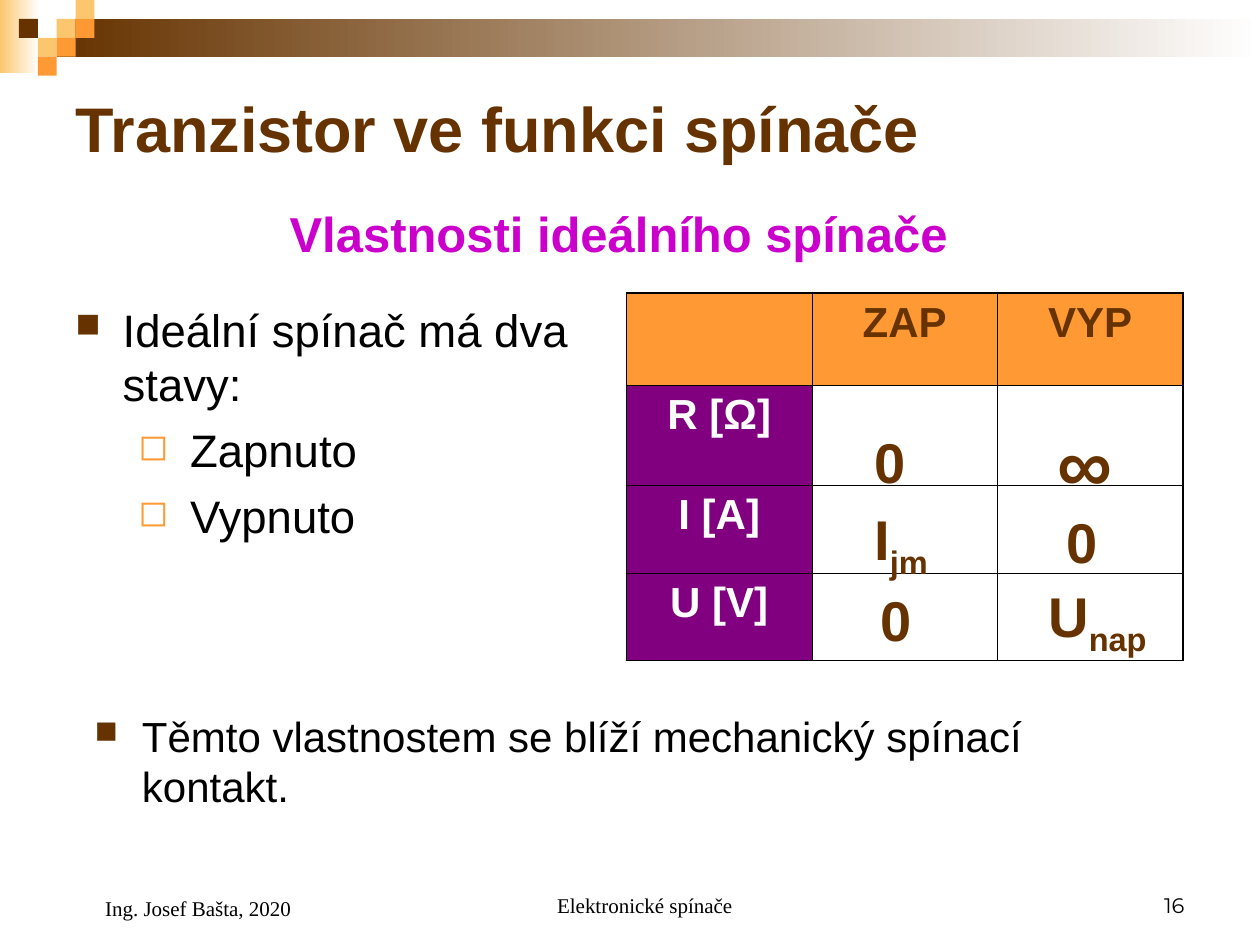
"""Build the slide about the transistor used as a switch."""
from dataclasses import dataclass
from typing import Optional

from lxml.etree import SubElement
from pptx import Presentation
from pptx.dml.color import RGBColor
from pptx.enum.shapes import MSO_SHAPE
from pptx.enum.text import MSO_ANCHOR, MSO_AUTO_SIZE, PP_ALIGN
from pptx.oxml.ns import qn
from pptx.slide import Slide
from pptx.table import _Cell
from pptx.text.text import TextFrame, _Paragraph
from pptx.util import Pt

BROWN, ORANGE, SAND = "663300", "FF9933", "FCC66E"
PURPLE, MAGENTA, BLACK, WHITE = "800080", "CC00CC", "000000", "FFFFFF"
UNIT = 10.8
SQUARES = [(3, 1, SAND), (4, 0, SAND), (4, 1, ORANGE), (2, 2, SAND),
           (1, 1, BROWN), (3, 2, ORANGE), (2, 3, ORANGE)]
BANDS = [(0, 0, 22.3, 42, SAND), (3 * UNIT, UNIT, 687.6, 2 * UNIT, BROWN)]
HEADINGS = [["", "ZAP", "VYP"], ["R [Ω]", "", ""], ["I [A]", "", ""], ["U [V]", "", ""]]
COLUMN_WIDTH = 106
ROW_HEIGHTS = [52.5, 57.5, 50, 50]
THICK, THIN = 1.08, 0.45


@dataclass
class Style:
    size: float
    color: str = BLACK
    bold: bool = False
    font: str = "Arial"
    align: PP_ALIGN = PP_ALIGN.LEFT
    margin: float = 0
    hanging: float = 0
    bullet: str = ""
    bullet_color: str = BROWN
    bullet_percent: int = 75
    space_before: Optional[float] = 0


@dataclass
class Line:
    text: str
    style: Style
    subscript: str = ""


@dataclass
class Box:
    left: float
    top: float
    width: float
    height: float
    lines: list[Line]
    anchor: MSO_ANCHOR = MSO_ANCHOR.TOP


def rgb(color: str) -> RGBColor:
    """Turn a hex string into a colour."""
    return RGBColor.from_string(color)


def add_bullet(paragraph: _Paragraph, style: Style) -> None:
    """Give a paragraph its indents and bullet."""
    properties = paragraph._p.get_or_add_pPr()
    properties.set("marL", str(Pt(style.margin)))
    properties.set("indent", str(Pt(-style.hanging)))
    if not style.bullet:
        SubElement(properties, qn("a:buNone"))
        return
    color = SubElement(properties, qn("a:buClr"))
    SubElement(color, qn("a:srgbClr"), val=style.bullet_color)
    SubElement(properties, qn("a:buSzPct"), val=str(style.bullet_percent * 1000))
    SubElement(properties, qn("a:buChar"), char=style.bullet)


def write_line(paragraph: _Paragraph, line: Line) -> None:
    """Write one line of text in its style."""
    style = line.style
    add_bullet(paragraph, style)
    paragraph.alignment = style.align
    paragraph.space_before = Pt(style.space_before)
    font = paragraph.font
    font.name, font.size, font.bold = style.font, Pt(style.size), style.bold
    font.color.rgb = rgb(style.color)
    paragraph.add_run().text = line.text
    if line.subscript:
        run = paragraph.add_run()
        run.text = line.subscript
        run._r.get_or_add_rPr().set("baseline", "-25000")


def write_frame(frame: TextFrame, lines: list[Line], anchor: MSO_ANCHOR) -> None:
    """Fill a text frame with lines."""
    frame.word_wrap = True
    frame.auto_size = MSO_AUTO_SIZE.NONE
    frame.vertical_anchor = anchor
    for index, line in enumerate(lines):
        write_line(frame.add_paragraph() if index else frame.paragraphs[0], line)


def add_box(slide: Slide, box: Box) -> None:
    """Add a text box."""
    shape = slide.shapes.add_textbox(Pt(box.left), Pt(box.top), Pt(box.width), Pt(box.height))
    write_frame(shape.text_frame, box.lines, box.anchor)


def add_rectangle(slide: Slide, left: float, top: float, width: float, height: float,
                  color: str, fading: bool = False) -> None:
    """Add a borderless rectangle, solid or fading to white."""
    shape = slide.shapes.add_shape(MSO_SHAPE.RECTANGLE, Pt(left), Pt(top), Pt(width), Pt(height))
    shape.shadow.inherit = False
    shape.line.fill.background()
    if fading:
        shape.fill.gradient()
        shape.fill.gradient_angle = 0
        for stop, stop_color in zip(shape.fill.gradient_stops, (color, WHITE)):
            stop.color.rgb = rgb(stop_color)
    else:
        shape.fill.solid()
        shape.fill.fore_color.rgb = rgb(color)


def set_borders(cell: _Cell, widths: dict[str, float]) -> None:
    """Draw the black borders of a cell ahead of its fill."""
    properties = cell._tc.get_or_add_tcPr()
    for position, (side, width) in enumerate(widths.items()):
        border = SubElement(properties, qn(f"a:{side}"), w=str(Pt(width)))
        fill = SubElement(border, qn("a:solidFill"))
        SubElement(fill, qn("a:srgbClr"), val=BLACK)
        properties.insert(position, border)


def add_state_table(slide: Slide) -> None:
    """Add the table of switch states."""
    last_row, last_column = len(HEADINGS) - 1, len(HEADINGS[0]) - 1
    table = slide.shapes.add_table(last_row + 1, last_column + 1, Pt(358), Pt(167.5),
                                   Pt(COLUMN_WIDTH * 3), Pt(sum(ROW_HEIGHTS))).table
    for column in table.columns:
        column.width = Pt(COLUMN_WIDTH)
    for row_index, texts in enumerate(HEADINGS):
        table.rows[row_index].height = Pt(ROW_HEIGHTS[row_index])
        for column_index, text in enumerate(texts):
            cell = table.cell(row_index, column_index)
            set_borders(cell, {
                "lnL": THIN if column_index else THICK,
                "lnR": THICK if column_index == last_column else THIN,
                "lnT": THIN if row_index else THICK,
                "lnB": THICK if row_index == last_row else THIN,
            })
            if row_index and column_index:
                cell.fill.background()
                continue
            cell.fill.solid()
            cell.fill.fore_color.rgb = rgb(PURPLE if row_index else ORANGE)
            if text:
                color = WHITE if row_index else BROWN
                style = Style(24, color, bold=True, align=PP_ALIGN.CENTER)
                write_line(cell.text_frame.paragraphs[0], Line(text, style))


def main() -> None:
    """Build and save the presentation."""
    presentation = Presentation()
    presentation.slide_width, presentation.slide_height = Pt(720), Pt(540)
    slide = presentation.slides.add_slide(presentation.slide_layouts[5])
    for left, top, width, height, color in BANDS:
        add_rectangle(slide, left, top, width, height, color, fading=True)
    for column, row, color in SQUARES:
        add_rectangle(slide, column * UNIT, row * UNIT, UNIT, UNIT, color)

    title = slide.shapes.title
    title.left, title.top, title.width, title.height = Pt(36), Pt(36), Pt(648), Pt(74)
    heading = Line("Tranzistor ve funkci spínače", Style(36, BROWN, bold=True))
    write_frame(title.text_frame, [heading], MSO_ANCHOR.MIDDLE)

    state = Style(26, margin=65.5, hanging=29.5, bullet="◻", bullet_color=ORANGE,
                  bullet_percent=80, space_before=6.5)
    intro = Style(26, margin=27, hanging=27, bullet="■")
    closing = Style(24, margin=27, hanging=27, bullet="■")
    subtitle = Style(28, MAGENTA, bold=True, align=PP_ALIGN.CENTER)
    value = Style(32, BROWN, bold=True)
    infinity = Style(44, BROWN, bold=True)
    author = Style(12, font="Times New Roman", margin=17)
    topic = Style(12, font="Times New Roman", margin=17, align=PP_ALIGN.CENTER)
    number = Style(12, font="Montserrat", align=PP_ALIGN.RIGHT)

    add_box(slide, Box(36, 169, 312, 194.5, [Line("Ideální spínač má dva stavy:", intro),
                                             Line("Zapnuto", state), Line("Vypnuto", state)]))
    add_state_table(slide)
    for box in [
        Box(30, 112.5, 647, 50, [Line("Vlastnosti ideálního spínače", subtitle)]),
        Box(47, 402.5, 602.5, 69, [
            Line("Těmto vlastnostem se blíží mechanický spínací kontakt.", closing)]),
        Box(602.5, 286.5, 37.5, 46, [Line("0", value)]),
        Box(597.5, 234, 55.5, 60.5, [Line("∞", infinity)]),
        Box(492.5, 241, 37.5, 46, [Line("0", value)]),
        Box(592, 329, 88, 51, [Line("U", value, "nap")]),
        Box(492.5, 285, 76.5, 51, [Line("I", value, "jm")]),
        Box(496, 331, 37.5, 46, [Line("0", value)]),
        Box(246, 492, 228, 36, [Line("Elektronické spínače", topic)], MSO_ANCHOR.BOTTOM),
        Box(516, 492, 168, 36, [Line("16", number)], MSO_ANCHOR.BOTTOM),
        Box(36, 492, 168, 37.5, [Line("Ing. Josef Bašta, 2020", author)], MSO_ANCHOR.BOTTOM),
    ]:
        add_box(slide, box)
    presentation.save("out.pptx")


if __name__ == "__main__":
    main()
